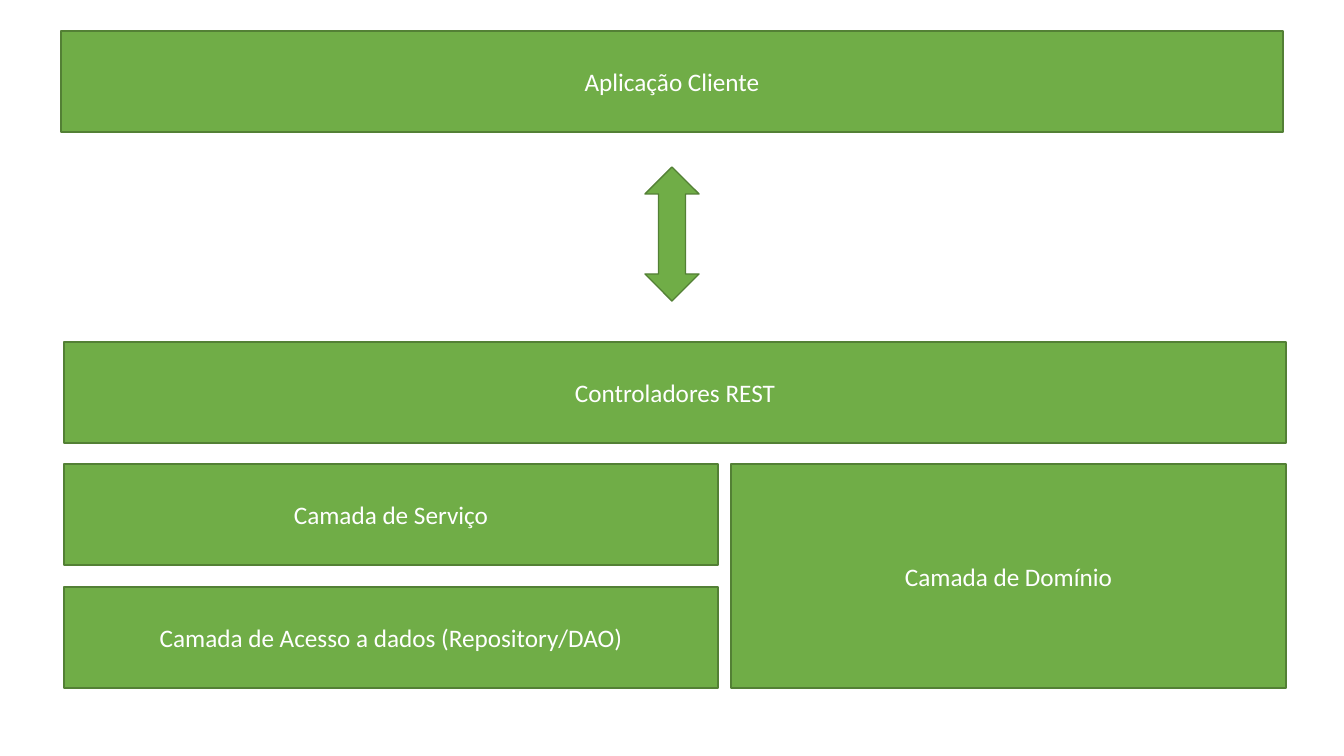
"""Build a slide showing the layers of a REST application and its client."""
import pptx
import pptx.dml.color
import pptx.enum.shapes
import pptx.enum.text
import pptx.util

PX = 914400 / 100.8
COLORS = {"fill": "70AD47", "line": "538035", "text": "FFFFFF"}
RGB = {name: pptx.dml.color.RGBColor.from_string(c) for name, c in COLORS.items()}
RECT = pptx.enum.shapes.MSO_SHAPE.RECTANGLE
ARROW = pptx.enum.shapes.MSO_SHAPE.UP_DOWN_ARROW
FONT = {"name": "Calibri", "size": pptx.util.Pt(18)}

LEFT, WIDTH, HEIGHT = 64, 1222, 101
CONTROLLER_TOP, SERVICE_TOP, DATA_TOP = 342, 464, 587
SERVICE_WIDTH, GUTTER = 654, 13
DOMAIN_LEFT = LEFT + SERVICE_WIDTH + GUTTER
DOMAIN_WIDTH = LEFT + WIDTH - DOMAIN_LEFT
DOMAIN_HEIGHT = DATA_TOP + HEIGHT - SERVICE_TOP

SHAPES = [
    (RECT, 61, 31, WIDTH, HEIGHT, "Aplicação Cliente"),
    (ARROW, 645, 167, 54, 134, ""),
    (RECT, LEFT, CONTROLLER_TOP, WIDTH, HEIGHT, "Controladores REST"),
    (RECT, LEFT, SERVICE_TOP, SERVICE_WIDTH, HEIGHT, "Camada de Serviço"),
    (RECT, LEFT, DATA_TOP, SERVICE_WIDTH, HEIGHT,
     "Camada de Acesso a dados (Repository/DAO)"),
    (RECT, DOMAIN_LEFT, SERVICE_TOP, DOMAIN_WIDTH, DOMAIN_HEIGHT, "Camada de Domínio"),
]


def px(n):
    return round(n * PX)


prs = pptx.Presentation()
prs.slide_width, prs.slide_height = px(1344), px(756)
s = prs.slides.add_slide(prs.slide_layouts[6])

for kind, x, y, w, h, text in SHAPES:
    sp = s.shapes.add_shape(kind, px(x), px(y), px(w), px(h))
    sp.shadow.inherit = False
    sp.fill.solid()
    sp.fill.fore_color.rgb = RGB["fill"]
    sp.line.color.rgb = RGB["line"]
    sp.line.width = pptx.util.Pt(1)
    if text:
        tf = sp.text_frame
        tf.word_wrap = True
        tf.vertical_anchor = pptx.enum.text.MSO_ANCHOR.MIDDLE
        p = tf.paragraphs[0]
        p.alignment = pptx.enum.text.PP_ALIGN.CENTER
        r = p.add_run()
        r.text = text
        for key, value in FONT.items():
            setattr(r.font, key, value)
        r.font.color.rgb = RGB["text"]

prs.save("out.pptx")
